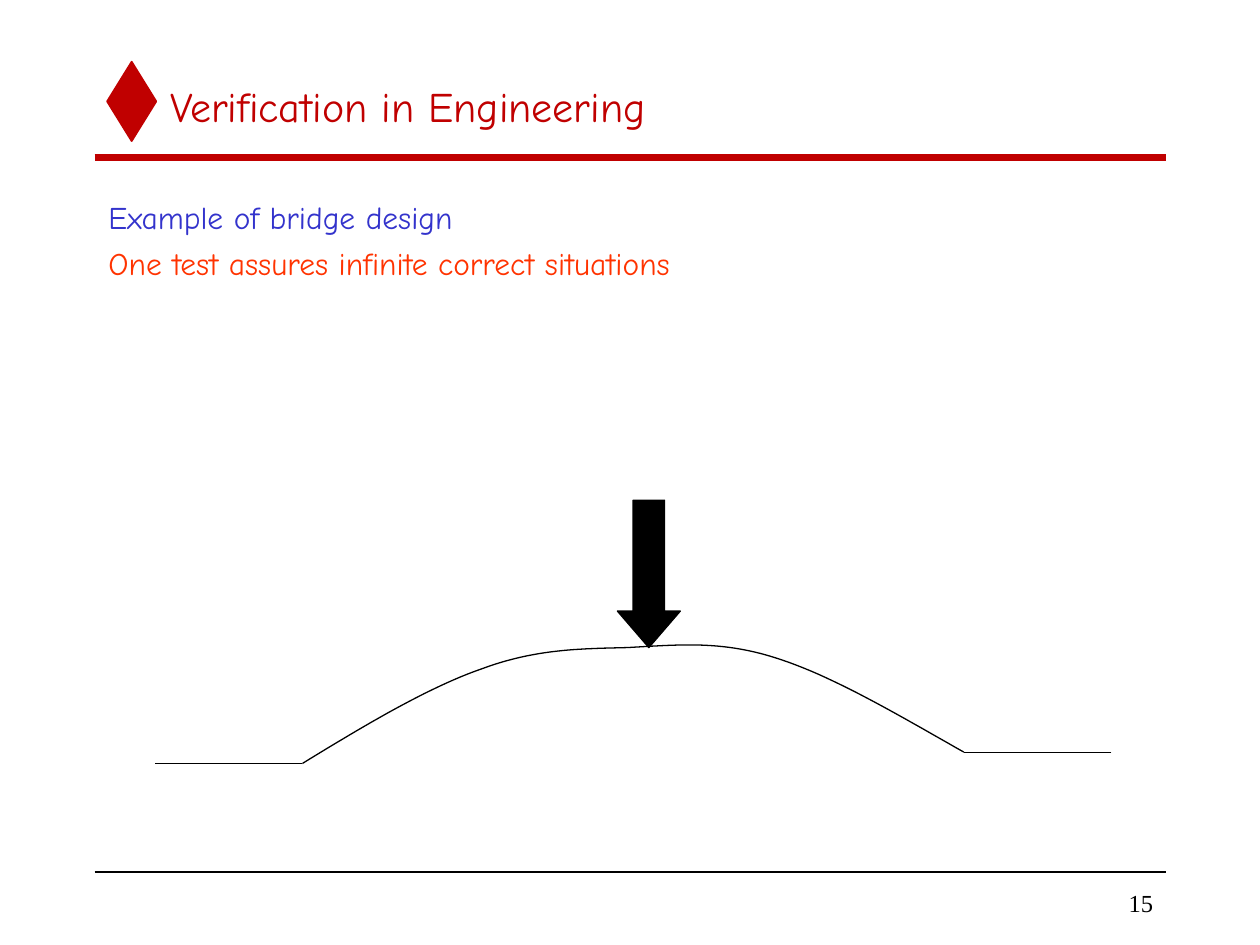
"""Build the bridge slide on verification in engineering."""
from pptx import Presentation
from pptx.dml.color import RGBColor
from pptx.enum.shapes import MSO_CONNECTOR, MSO_SHAPE
from pptx.enum.text import MSO_ANCHOR, MSO_AUTO_SIZE, PP_ALIGN
from pptx.oxml.ns import qn
from pptx.util import Inches, Pt
from lxml.etree import SubElement

RED = RGBColor(0xC0, 0x00, 0x00)
BLUE = RGBColor(0x33, 0x33, 0xCC)
ORANGE = RGBColor(0xFF, 0x33, 0x00)
BLACK = RGBColor(0x00, 0x00, 0x00)
COMIC, TIMES = "Comic Neue", "Times New Roman"

TITLE = [("Verification in Engineering", RED)]
BODY = [
    ("Example of bridge design", BLUE),
    ("One test assures infinite correct situations", ORANGE),
]
PAGE = [("15", BLACK)]
LINES = [
    ((0.75, 1.25), (9.25, 1.25), RED, 4),
    ((0.75, 6.92), (9.25, 6.92), BLACK, 1),
    ((2.4, 6.06), (1.23, 6.06), BLACK, 0.75),
    ((8.82, 5.97), (7.65, 5.97), BLACK, 0.75),
]
START = (2.4, 6.06)
CURVES = [
    ((2.89, 5.76), (3.39, 5.46), (3.82, 5.31)),
    ((4.25, 5.15), (4.6, 5.15), (4.98, 5.14)),
    ((5.37, 5.12), (5.71, 5.08), (6.15, 5.22)),
    ((6.6, 5.36), (7.12, 5.67), (7.65, 5.97)),
]
STEPS = 24


def place(shape, box):
    for name, value in zip(("left", "top", "width", "height"), box):
        setattr(shape, name, Inches(value))


def write(shape, rows, font, anchor, align=PP_ALIGN.LEFT, gap=0):
    frame = shape.text_frame
    look = {"word_wrap": True, "auto_size": MSO_AUTO_SIZE.NONE,
            "vertical_anchor": anchor}
    for name, value in look.items():
        setattr(frame, name, value)
    frame.text = "\n".join(text for text, _ in rows)
    for para, (_, color) in zip(frame.paragraphs, rows):
        para.alignment, para.space_before = align, Pt(gap)
        for name, value in font.items():
            setattr(para.runs[0].font, name, value)
        para.runs[0].font.color.rgb = color


def paint(shape, color, width, fill=True):
    shape.shadow.inherit = False
    if fill:
        shape.fill.solid()
        shape.fill.fore_color.rgb = color
    else:
        shape.fill.background()
    shape.line.color.rgb = color
    shape.line.width = Pt(width)


def add_line(shapes, start, end, color, width):
    line = shapes.add_connector(
        MSO_CONNECTOR.STRAIGHT, *map(Inches, start + end))
    line.line.color.rgb = color
    line.line.width = Pt(width)
    SubElement(line._element.spPr, qn("a:effectLst"))


def trace(start, curves):
    for one, two, end in curves:
        for step in range(1, STEPS + 1):
            t = step / STEPS
            u = 1 - t
            yield tuple(
                Inches(u**3 * a + 3 * u * u * t * b + 3 * u * t * t * c + t**3 * d)
                for a, b, c, d in zip(start, one, two, end))
        start = end


def main():
    deck = Presentation()
    deck.slide_width, deck.slide_height = Inches(10), Inches(7.5)
    slide = deck.slides.add_slide(deck.slide_layouts[1])
    shapes = slide.shapes
    title, body = shapes.title, slide.placeholders[1]

    place(title, (1.25, 0.5, 8, 0.67))
    write(title, TITLE, {"name": COMIC, "size": Pt(24)}, MSO_ANCHOR.MIDDLE)
    place(body, (0.76, 1.52, 8.5, 1.58))
    write(body, BODY, {"name": COMIC, "size": Pt(18)}, MSO_ANCHOR.TOP, gap=4.5)
    for para in body.text_frame.paragraphs:
        props = para._p.get_or_add_pPr()
        props.set("marL", str(Inches(0.38)))
        props.set("indent", str(Inches(-0.38)))
        SubElement(props, qn("a:buNone"))

    page = shapes.add_textbox(*map(Inches, (7.83, 7, 1.42, 0.33)))
    write(page, PAGE, {"name": TIMES, "size": Pt(14)},
          MSO_ANCHOR.MIDDLE, PP_ALIGN.RIGHT)

    gem = shapes.add_shape(
        MSO_SHAPE.DIAMOND, *map(Inches, (0.85, 0.49, 0.39, 0.63)))
    paint(gem, RED, 1)
    for line in LINES:
        add_line(shapes, *line)

    pen = shapes.build_freeform(*map(Inches, START))
    pen.add_line_segments(list(trace(START, CURVES)), close=False)
    paint(pen.convert_to_shape(), BLACK, 0.75, fill=False)

    load = shapes.add_shape(
        MSO_SHAPE.DOWN_ARROW, *map(Inches, (4.9, 3.97, 0.5, 1.17)))
    load.adjustments[1] = 0.58
    paint(load, BLACK, 0.75)
    deck.save("out.pptx")


if __name__ == "__main__":
    main()
